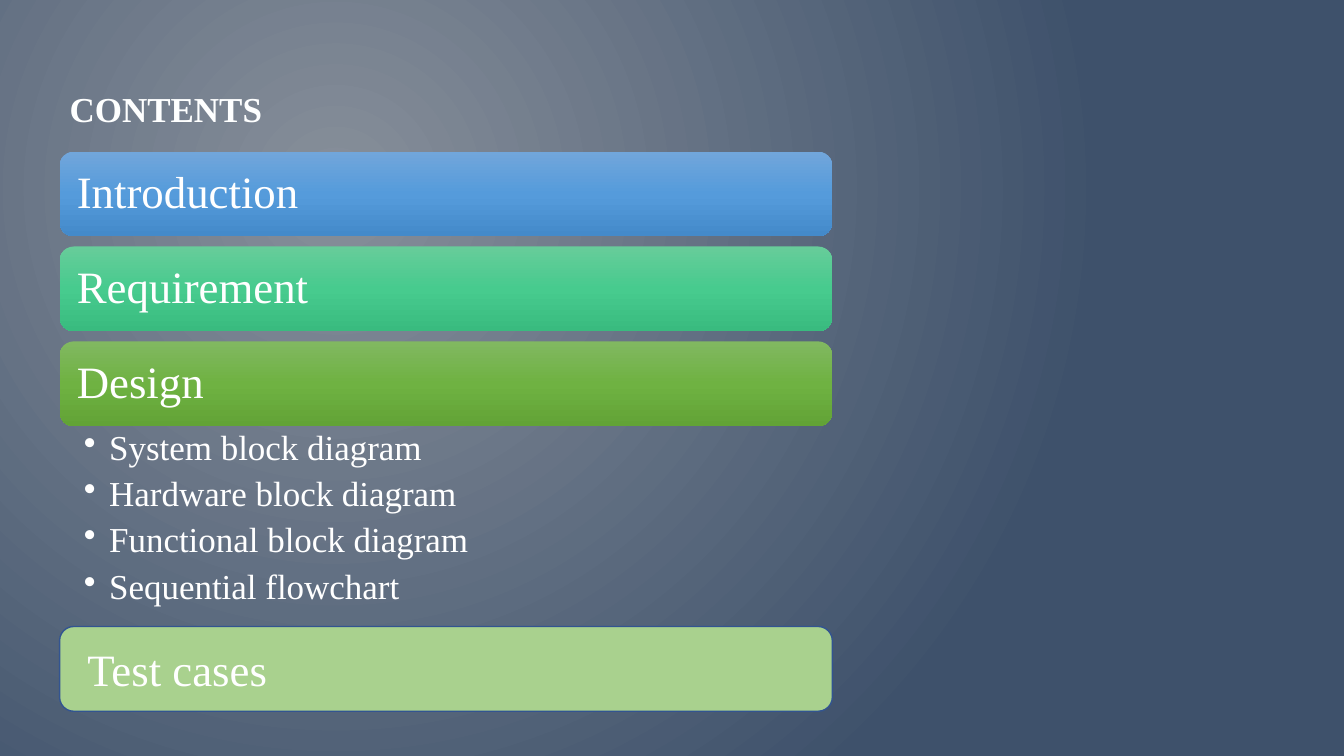
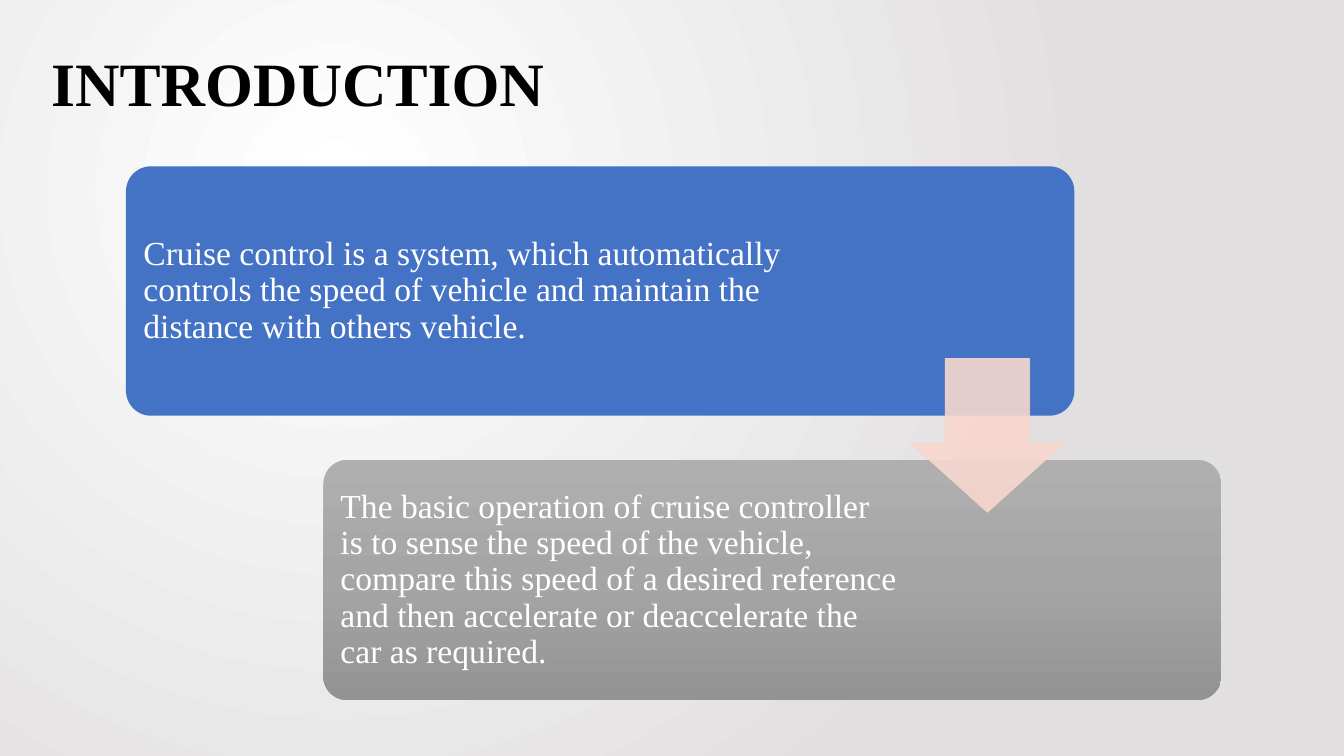
"""Build the contents and introduction slides of a cruise control talk."""
from lxml.etree import SubElement
from pptx import Presentation
from pptx.dml.color import RGBColor
from pptx.enum.shapes import MSO_SHAPE
from pptx.enum.text import MSO_ANCHOR, PP_ALIGN
from pptx.oxml.ns import qn
from pptx.util import Inches, Pt

HUES = {
    "white": "FFFFFF", "black": "000000", "title": "FEFFFF",
    "dusk": ("878F9A", "3E516B"), "mist": ("FFFFFF", "E1DFDF"),
    "sky": ("71A6DB", "559BDB", "448ACA"),
    "mint": ("67CC9A", "47CB8E", "39BB7F"),
    "leaf": ("81B861", "6FB242", "62A336"),
    "gray": ("AFAFAF", "A5A5A5", "939393"),
    "lime": "A9D18E", "navy": "325491", "blue": "4472C4", "peach": "F8D7CE",
}


class Deck:
    """Hold the style and the current slide, on a grid of 160 by 90 cells."""

    font = "Times New Roman"
    cells = 160

    def __init__(self):
        self.show = Presentation()
        self.show.slide_width = Inches(13.33)
        self.show.slide_height = Inches(7.5)
        self.slide = None

    def cell(self, *sizes):
        return [round(size * self.show.slide_width / self.cells) for size in sizes]

    def blend(self, owner, hue, radial=False):
        old = owner.find(qn("a:solidFill"))
        grad = owner.makeelement(qn("a:gradFill"), {"rotWithShape": "1"})
        stops = SubElement(grad, qn("a:gsLst"))
        tones = HUES[hue]
        for i, tone in enumerate(tones):
            stop = SubElement(stops, qn("a:gs"), pos=str(100000 * i // (len(tones) - 1)))
            SubElement(stop, qn("a:srgbClr"), val=tone)
        if radial:
            way = SubElement(grad, qn("a:path"), {"path": "circle"})
            SubElement(way, qn("a:fillToRect"), l="50000", t="50000", r="100000", b="100000")
        else:
            SubElement(grad, qn("a:lin"), ang="5400000", scaled="0")
        owner.replace(old, grad)

    def page(self, hue):
        self.slide = self.show.slides.add_slide(self.show.slide_layouts[6])
        self.slide.background.fill.solid()
        self.blend(self.slide.element.find(".//" + qn("p:bgPr")), hue, True)

    def label(self, shape, lines, size, hue="white", pad=(1.2, 0.6, 1.2, 0.6),
              anchor=MSO_ANCHOR.MIDDLE, bold=False, lead=0.9, after=0, dots=False):
        frame = shape.text_frame
        frame.word_wrap = True
        frame.vertical_anchor = anchor
        (frame.margin_left, frame.margin_top,
         frame.margin_right, frame.margin_bottom) = self.cell(*pad)
        frame.text = "\n".join(lines)
        for para in frame.paragraphs:
            para.alignment = PP_ALIGN.LEFT
            para.line_spacing = lead
            para.space_after = Pt(after)
            if dots:
                props = para._p.get_or_add_pPr()
                props.set("marL", str(Inches(0.25)))
                props.set("indent", str(-Inches(0.25)))
                SubElement(props, qn("a:buChar"), char="•")
            font = para.font
            font.name, font.size, font.bold = self.font, Pt(size), bold
            font.color.rgb = RGBColor.from_string(HUES[hue])

    def text(self, box, lines, size, **style):
        self.label(self.slide.shapes.add_textbox(*self.cell(*box)), lines, size, **style)

    def title(self, box, words, size, hue, anchor=MSO_ANCHOR.MIDDLE):
        self.text(box, [words], size, hue=hue, anchor=anchor, bold=True)

    def shape(self, kind, box, hue, adjust=(), edge=None, weight=1):
        shape = self.slide.shapes.add_shape(kind, *self.cell(*box))
        shape.shadow.inherit = False
        for i, value in enumerate(adjust):
            shape.adjustments[i] = value
        shape.fill.solid()
        if isinstance(HUES[hue], tuple):
            self.blend(shape.element.spPr, hue)
        else:
            shape.fill.fore_color.rgb = RGBColor.from_string(HUES[hue])
        if edge:
            shape.line.color.rgb = RGBColor.from_string(HUES[edge])
            shape.line.width = Pt(weight)
        else:
            shape.line.fill.background()
        return shape

    def card(self, box, hue, words, size, pad, adjust=(), edge=None, lead=0.9):
        shape = self.shape(MSO_SHAPE.ROUNDED_RECTANGLE, box, hue, adjust, edge)
        self.label(shape, [words], size, pad=pad, lead=lead)

    def arrow(self, box, hue):
        shape = self.shape(MSO_SHAPE.DOWN_ARROW, box, hue, (0.55, 0.45), hue, 0.5)
        for tone in shape.element.spPr.iter(qn("a:srgbClr")):
            SubElement(tone, qn("a:alpha"), val="90000")


def contents(deck):
    left, top, wide, high, step = 7.1, 18.05, 92, 10.1, 11.3
    deck.page("dusk")
    deck.title((left, 10.4, wide, 6), "CONTENTS", 25, "title", MSO_ANCHOR.TOP)
    for i, (words, hue) in enumerate(
            [("Introduction", "sky"), ("Requirement", "mint"), ("Design", "leaf")]):
        deck.card((left, top + i * step, wide, high), hue, words, 32, (1.56,) * 4)
    deck.text((left, top + 2 * step + high, wide, 21.2),
              ["System block diagram", "Hardware block diagram",
               "Functional block diagram", "Sequential flowchart"],
              25, pad=(2.9, 0.5, 3, 0.5), anchor=MSO_ANCHOR.TOP, after=6, dots=True)
    deck.card((left, 74.6, wide, high), "lime", "Test cases", 32,
              (2.8, 0.6, 1.2, 0.6), edge="navy", lead=1)


def intro(deck):
    deck.page("mist")
    deck.title((4.9, 4.1, 81.5, 12.4), "INTRODUCTION", 44, "black")
    deck.card((15, 19.8, 112.9, 29.7), "blue",
              "Cruise control is a system, which automatically controls the speed of "
              "vehicle and maintain the distance with others vehicle.",
              24, (1.2, 1.2, 29.3, 1.2), (0.1,))
    deck.card((38.5, 54.75, 106.9, 28.6), "gray",
              "The basic operation of cruise controller is to sense the speed of the "
              "vehicle, compare this speed of a desired reference and then accelerate "
              "or deaccelerate the car as required.",
              24, (1.2, 1.2, 37.8, 1.2), (0.1,))
    deck.arrow((108.4, 42.7, 18.3, 18.3), "peach")


deck = Deck()
contents(deck)
intro(deck)
deck.show.save("out.pptx")
